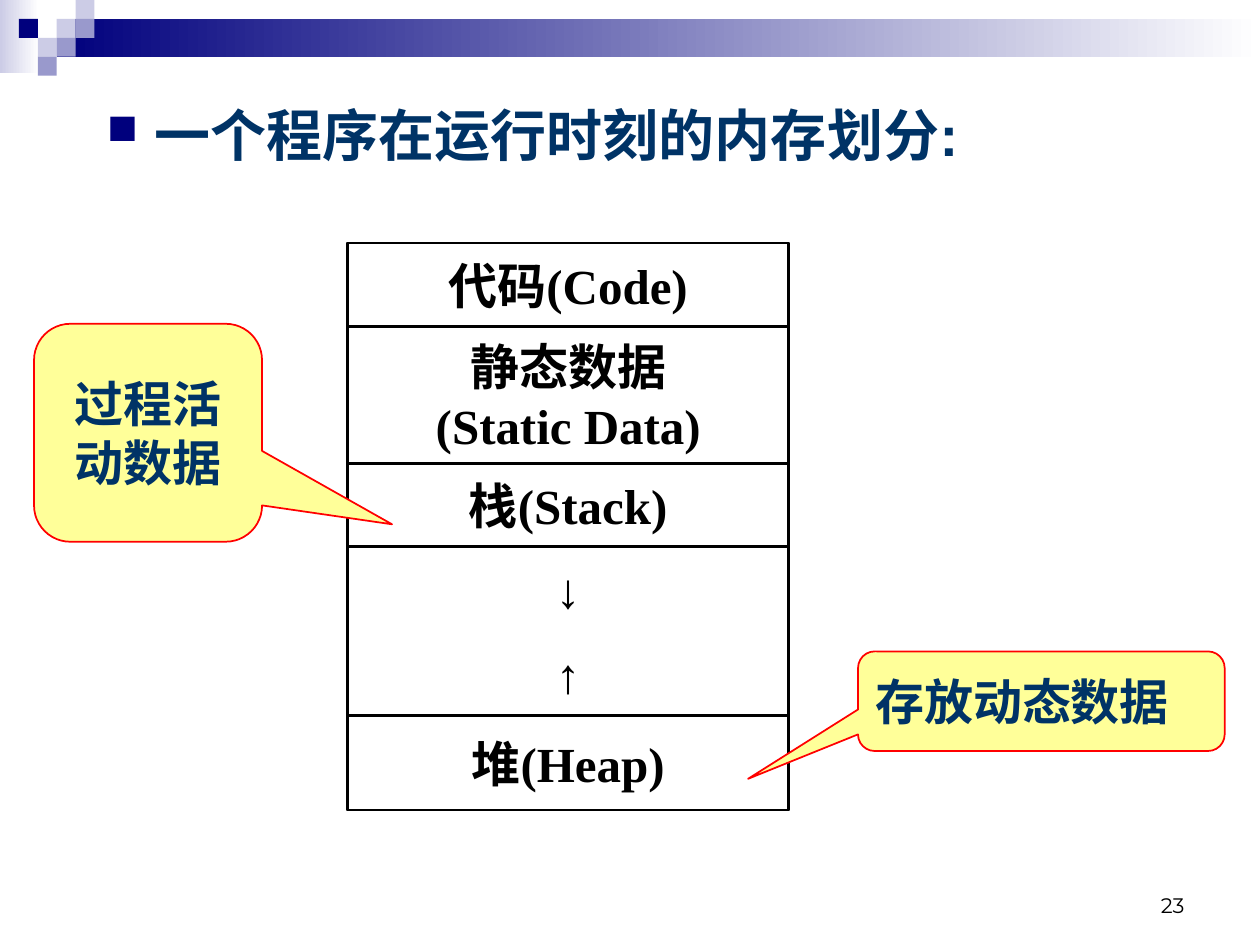
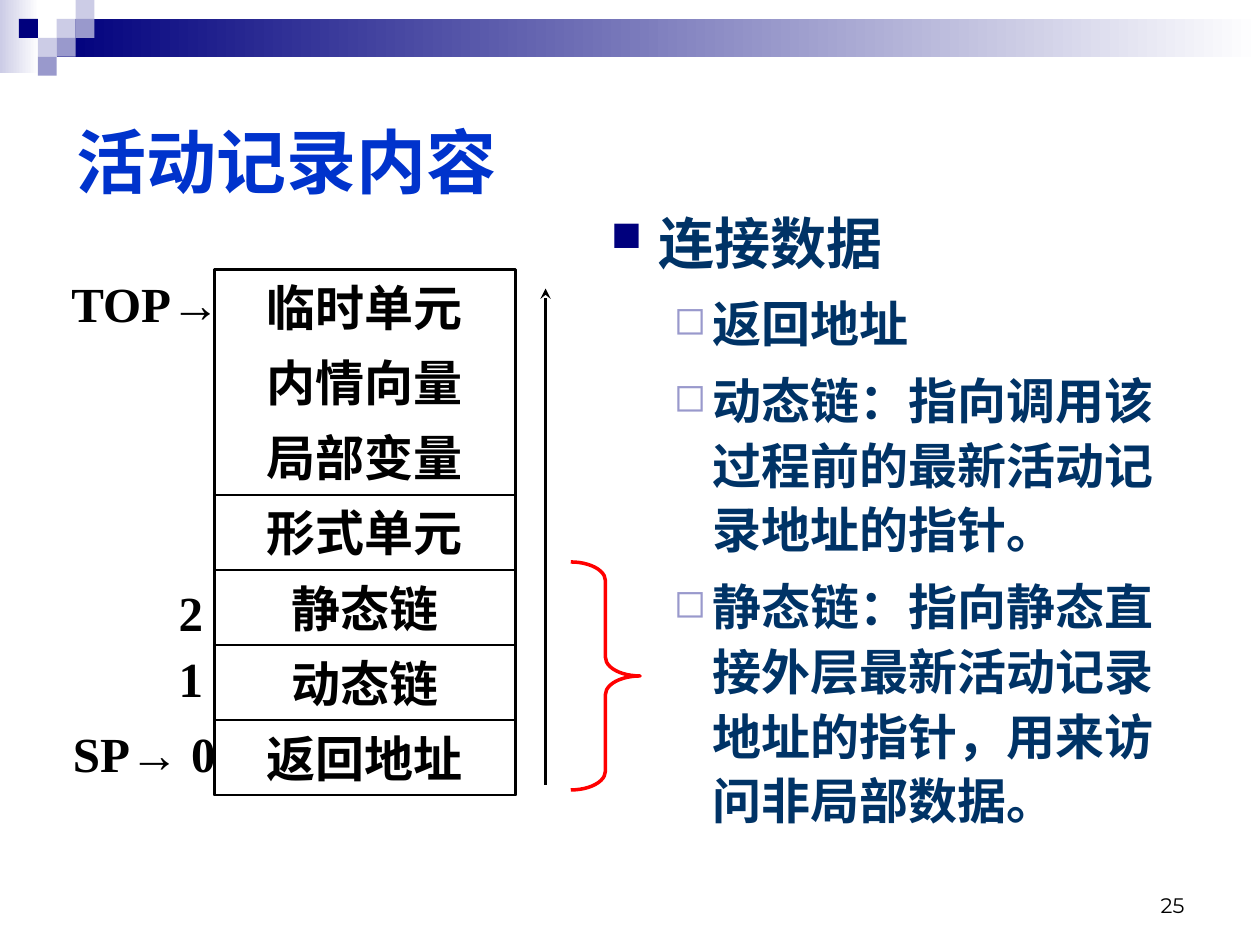
from collections import namedtuple

from lxml.etree import SubElement
from pptx import Presentation
from pptx.dml.color import RGBColor
from pptx.enum.shapes import MSO_CONNECTOR, MSO_SHAPE
from pptx.enum.text import MSO_ANCHOR, MSO_AUTO_SIZE, PP_ALIGN
from pptx.oxml.ns import qn
from pptx.util import Inches, Pt

BLACK = RGBColor(0x00, 0x00, 0x00)
WHITE = RGBColor(0xFF, 0xFF, 0xFF)
NAVY = RGBColor(0x00, 0x00, 0x7D)
LILAC = RGBColor(0x99, 0x99, 0xCC)
PALE_LILAC = RGBColor(0xCC, 0xCC, 0xE6)
TITLE_BLUE = RGBColor(0x00, 0x33, 0xCC)
TEXT_BLUE = RGBColor(0x00, 0x33, 0x66)
YELLOW = RGBColor(0xFF, 0xFF, 0x99)
RED = RGBColor(0xFF, 0x00, 0x00)

SANS = "Arial"
SERIF = "Times New Roman"
NUMBER_FONT = "Montserrat"

TITLE_ONLY, BLANK = 5, 6

Box = namedtuple("Box", "left top width height")
Cell = namedtuple("Cell", "text height bordered font", defaults=(True, SERIF))
Bullet = namedtuple("Bullet", "character color percent size indent hanging before")

BULLETS = (
    Bullet("■", NAVY, 75, 32, 0.38, 0.38, 8),
    Bullet("◻", LILAC, 80, 28, 0.81, 0.31, 7),
)


def inches(box):
    return [Inches(value) for value in box]


def set_font(paragraph, size, name=SANS, color=TEXT_BLUE, bold=True):
    font = paragraph.font
    font.size, font.name, font.bold = Pt(size), name, bold
    font.color.rgb = color


def add_shape(slide, kind, box, fill=None, line=None, width=1.5):
    shape = slide.shapes.add_shape(kind, *inches(box))
    shape.shadow.inherit = False
    if fill is None:
        shape.fill.background()
    else:
        shape.fill.solid()
        shape.fill.fore_color.rgb = fill
    if line is None:
        shape.line.fill.background()
    else:
        shape.line.color.rgb = line
        shape.line.width = Pt(width)
    return shape


def add_text_box(slide, box):
    text_box = slide.shapes.add_textbox(*inches(box))
    text_box.text_frame.auto_size = MSO_AUTO_SIZE.NONE
    return text_box


def write(shape, text, size=28, name=SERIF, color=BLACK, bold=True,
          align=PP_ALIGN.CENTER, anchor=MSO_ANCHOR.MIDDLE, wrap=False):
    frame = shape.text_frame
    frame.text = text
    frame.word_wrap = wrap
    frame.vertical_anchor = anchor
    for paragraph in frame.paragraphs:
        paragraph.alignment = align
        set_font(paragraph, size, name, color, bold)


def add_fading_band(slide, box, color):
    band = add_shape(slide, MSO_SHAPE.RECTANGLE, box)
    band.fill.gradient()
    band.fill.gradient_angle = 0
    for stop, position, stop_color in zip(band.fill.gradient_stops, (0, 1), (color, WHITE)):
        stop.position = position
        stop.color.rgb = stop_color


def add_header(slide):
    """Fading bands and the checkered squares at the top left."""
    add_fading_band(slide, Box(0, 0, 0.31, 0.58), PALE_LILAC)
    add_fading_band(slide, Box(0.45, 0.15, 9.55, 0.3), NAVY)
    side = 0.15
    squares = (
        (3, 1, PALE_LILAC), (4, 0, PALE_LILAC), (4, 1, LILAC), (2, 2, PALE_LILAC),
        (1, 1, NAVY), (3, 2, LILAC), (2, 3, LILAC),
    )
    for column, row, color in squares:
        box = Box(column * side, row * side, side, side)
        add_shape(slide, MSO_SHAPE.RECTANGLE, box, color)


def add_slide(presentation, layout, number):
    slide = presentation.slides.add_slide(presentation.slide_layouts[layout])
    add_header(slide)
    number_box = add_text_box(slide, Box(7.17, 6.83, 2.33, 0.5))
    write(number_box, str(number), 12, NUMBER_FONT, bold=False,
          align=PP_ALIGN.RIGHT, anchor=MSO_ANCHOR.BOTTOM, wrap=True)
    return slide


def format_title(slide, text):
    title = slide.shapes.title
    title.left, title.top, title.width, title.height = inches(Box(0.51, 0.52, 9, 1.5))
    title.text_frame.auto_size = MSO_AUTO_SIZE.NONE
    write(title, text, 40, SANS, TITLE_BLUE, align=PP_ALIGN.LEFT, wrap=True)


def add_bullet_list(slide, box, items, line_spacing=None):
    """Items are pairs of level and text."""
    frame = add_text_box(slide, box).text_frame
    frame.word_wrap = True
    for index, (level, text) in enumerate(items):
        bullet = BULLETS[level]
        paragraph = frame.add_paragraph() if index else frame.paragraphs[0]
        paragraph.text = text
        paragraph.level = level
        paragraph.line_spacing = line_spacing
        if index:
            paragraph.space_before = Pt(bullet.before)
        properties = paragraph._p.get_or_add_pPr()
        properties.set("marL", str(Inches(bullet.indent)))
        properties.set("indent", str(-Inches(bullet.hanging)))
        color = SubElement(properties, qn("a:buClr"))
        SubElement(color, qn("a:srgbClr"), val=str(bullet.color))
        SubElement(properties, qn("a:buSzPct"), val=str(bullet.percent * 1000))
        SubElement(properties, qn("a:buChar"), char=bullet.character)
        set_font(paragraph, bullet.size)


def add_memory_stack(slide, box, cells):
    """Cells from top to bottom, inside one frame."""
    top = box.top
    for cell in cells:
        cell_box = Box(box.left, top, box.width, cell.height)
        if cell.bordered:
            shape = add_shape(slide, MSO_SHAPE.RECTANGLE, cell_box, line=BLACK)
        else:
            shape = add_text_box(slide, cell_box)
        write(shape, cell.text, name=cell.font)
        top += cell.height
    add_shape(slide, MSO_SHAPE.RECTANGLE, box, line=BLACK)


def add_callout(slide, box, text, tip, align):
    """The tip is an offset from the centre, in parts of the width and height."""
    callout = add_shape(slide, MSO_SHAPE.ROUNDED_RECTANGULAR_CALLOUT, box, YELLOW, RED, 1)
    callout.adjustments[0], callout.adjustments[1] = tip
    write(callout, text, name=SANS, color=TEXT_BLUE, align=align, wrap=True)


def add_pointer_label(slide, box, runs):
    """Runs are pairs of text and font name."""
    label = add_text_box(slide, box)
    write(label, "")
    paragraph = label.text_frame.paragraphs[0]
    for text, font_name in runs:
        run = paragraph.add_run()
        run.text = text
        run.font.name = font_name


def add_growth_arrow(slide, x, bottom, top):
    arrow = slide.shapes.add_connector(
        MSO_CONNECTOR.STRAIGHT, Inches(x), Inches(bottom), Inches(x), Inches(top))
    arrow.line.color.rgb = BLACK
    arrow.line.width = Pt(1.5)
    SubElement(arrow.line._get_or_add_ln(), qn("a:tailEnd"), type="stealth")
    SubElement(arrow._element.spPr, qn("a:effectLst"))


def add_record_diagram(slide, box):
    """Activation record with its offsets, growth arrow and brace."""
    names = ("临时单元", "内情向量", "局部变量", "形式单元", "静态链", "动态链", "返回地址")
    row = box.height / len(names)
    cells = [Cell(name, row, index > 2) for index, name in enumerate(names)]
    add_memory_stack(slide, box, cells)

    label_left, label_height = box.left - 0.87, 0.52
    add_pointer_label(slide, Box(label_left, box.top, 0.76, label_height),
                      (("TOP", SERIF), ("→ ", SANS)))
    zero_top = box.top + 6 * row
    add_pointer_label(slide, Box(label_left, zero_top, 0.63, label_height),
                      (("SP", SERIF), ("→", SANS), (" 0", SERIF)))
    one_top = box.top + 5 * row
    for text, top in (("1", one_top), ("2", one_top - label_height)):
        label = add_text_box(slide, Box(box.left - 0.62, top, 0.63, label_height))
        write(label, text, align=PP_ALIGN.RIGHT)

    right = box.left + box.width
    add_growth_arrow(slide, right + 0.24, box.top + 4.09, box.top + 0.15)
    brace_box = Box(right + 0.44, box.top + 2.32, 0.55, 1.81)
    brace = add_shape(slide, MSO_SHAPE.RIGHT_BRACE, brace_box, line=RED, width=2)
    brace.adjustments[0] = 0.27


def build_memory_layout(presentation):
    slide = add_slide(presentation, BLANK, 23)
    add_bullet_list(slide, Box(0.75, 0.75, 8.58, 0.75), [(0, "一个程序在运行时刻的内存划分:")])
    add_memory_stack(slide, Box(2.76, 1.93, 3.5, 4.5), (
        Cell("代码(Code)", 0.66),
        Cell("静态数据\n(Static Data)", 1.09),
        Cell("栈(Stack)", 0.66),
        Cell("↓", 0.67, False, SANS),
        Cell("↑", 0.67, False, SANS),
        Cell("堆(Heap)", 0.75),
    ))
    add_callout(slide, Box(6.81, 5.17, 2.91, 0.79), "存放动态数据", (-0.8, 0.78), PP_ALIGN.LEFT)
    add_callout(slide, Box(0.27, 2.57, 1.81, 1.73), "过程活动数据", (1.07, 0.42), PP_ALIGN.CENTER)


def build_activation_record(presentation):
    slide = add_slide(presentation, TITLE_ONLY, 25)
    format_title(slide, "活动记录内容")
    add_bullet_list(slide, Box(4.75, 1.55, 4.58, 5), (
        (0, "连接数据"),
        (1, "返回地址"),
        (1, "动态链：指向调用该过程前的最新活动记录地址的指针。"),
        (1, "静态链：指向静态直接外层最新活动记录地址的指针，用来访问非局部数据。"),
    ), 1.1)
    add_record_diagram(slide, Box(1.7, 2.14, 2.39, 4.17))


def main():
    presentation = Presentation()
    presentation.slide_width, presentation.slide_height = Inches(10), Inches(7.5)
    build_memory_layout(presentation)
    build_activation_record(presentation)
    presentation.save("out.pptx")


if __name__ == "__main__":
    main()
